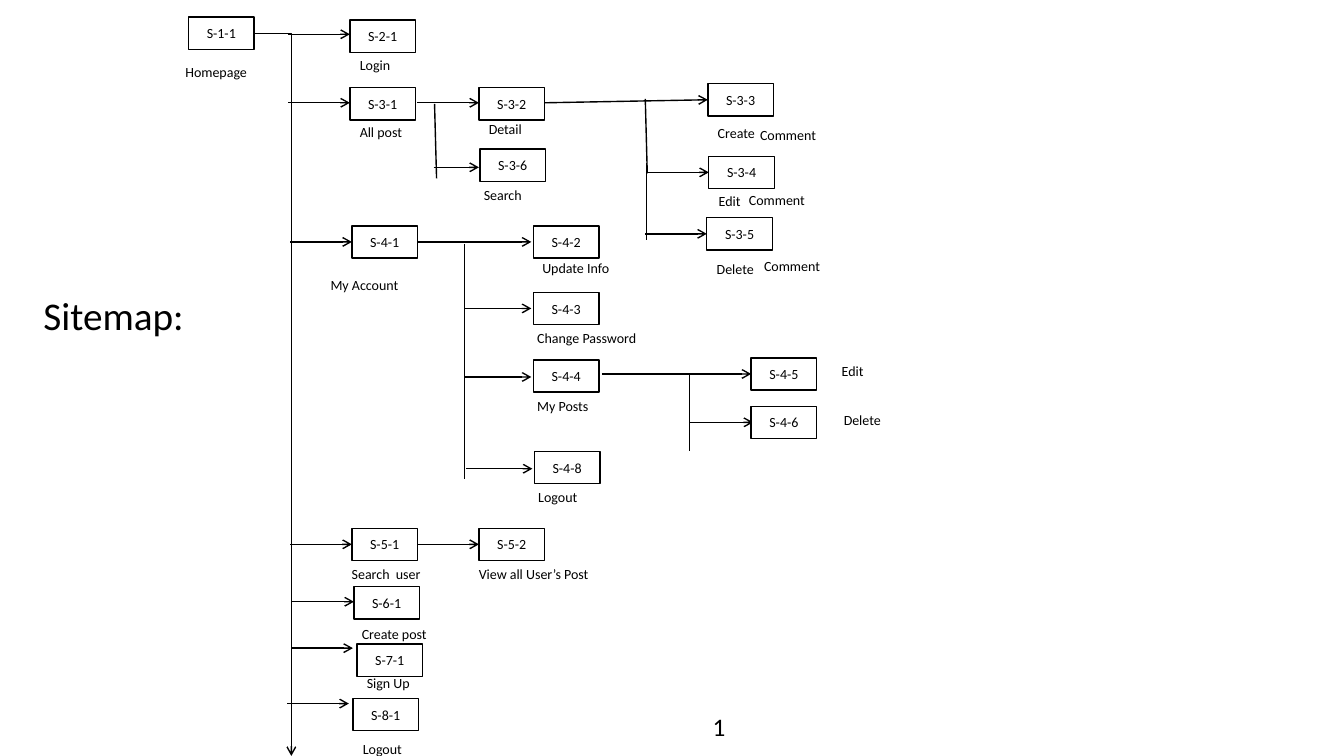
from dataclasses import dataclass
from lxml.etree import SubElement
from pptx import Presentation
from pptx.dml.color import RGBColor
from pptx.enum.shapes import MSO_CONNECTOR, MSO_SHAPE
from pptx.enum.text import MSO_ANCHOR, MSO_AUTO_SIZE, PP_ALIGN
from pptx.oxml.ns import qn
from pptx.util import Inches, Pt


@dataclass(frozen=True)
class Theme:
    font: str = "Calibri"
    ink: RGBColor = RGBColor(0, 0, 0)
    paper: RGBColor = RGBColor(255, 255, 255)
    small: int = 10
    medium: int = 18
    large: int = 28
    stroke: int = 1


class Sitemap:
    cell = Inches(0.1)
    width, height = 6.5, 3.2

    def __init__(self, slide, theme):
        self.slide = slide
        self.theme = theme

    def grid(self, *cells):
        return [round(cell * self.cell) for cell in cells]

    def style(self, frame, size, align):
        for para in frame.paragraphs:
            para.alignment = align
            for run in para.runs:
                run.font.name = self.theme.font
                run.font.size = Pt(size)
                run.font.color.rgb = self.theme.ink

    def fit(self, shape, text, size):
        frame = shape.text_frame
        frame.text = text
        frame.word_wrap = False
        frame.auto_size = MSO_AUTO_SIZE.SHAPE_TO_FIT_TEXT
        frame.vertical_anchor = MSO_ANCHOR.TOP
        self.style(frame, size, PP_ALIGN.LEFT)

    def title(self, text, *place):
        shape = self.slide.shapes.title
        shape.left, shape.top, shape.width, shape.height = self.grid(*place)
        self.fit(shape, text, self.theme.large)

    def label(self, text, left, top, width, height=2.7, size=None):
        place = self.grid(left, top, width, height)
        box = self.slide.shapes.add_textbox(*place)
        self.fit(box, text, size or self.theme.small)

    def page(self, code, left, top):
        place = self.grid(left, top, self.width, self.height)
        box = self.slide.shapes.add_shape(MSO_SHAPE.RECTANGLE, *place)
        box.shadow.inherit = False
        box.fill.solid()
        box.fill.fore_color.rgb = self.theme.paper
        box.line.color.rgb = self.theme.ink
        box.line.width = Pt(self.theme.stroke)
        box.text_frame.text = code
        box.text_frame.vertical_anchor = MSO_ANCHOR.MIDDLE
        self.style(box.text_frame, self.theme.small, PP_ALIGN.CENTER)

    def line(self, *ends, arrow=False, kind=MSO_CONNECTOR.STRAIGHT):
        link = self.slide.shapes.add_connector(kind, *self.grid(*ends))
        link.line.color.rgb = self.theme.ink
        link.line.width = Pt(self.theme.stroke)
        shape = link._element.spPr
        if arrow:
            SubElement(shape.find(qn("a:ln")), qn("a:tailEnd"), type="arrow")
        SubElement(shape, qn("a:effectLst"))
        return shape

    def trunk(self, *ends):
        shape = self.line(*ends, arrow=True, kind=MSO_CONNECTOR.ELBOW)
        shape.find(qn("a:prstGeom")).set("prst", "bentConnector2")


PAGES = [
    ("S-1-1", 18.7, 1.7), ("S-2-1", 34.7, 2), ("S-3-1", 34.7, 8.7),
    ("S-3-2", 47.5, 8.7), ("S-3-3", 70.2, 8.3), ("S-3-4", 70.3, 15.5),
    ("S-3-5", 70.1, 21.6), ("S-3-6", 47.6, 14.8), ("S-4-1", 34.9, 22.4),
    ("S-4-2", 52.9, 22.4), ("S-4-3", 52.9, 29), ("S-4-4", 52.9, 35.7),
    ("S-4-5", 74.5, 35.5), ("S-4-6", 74.5, 40.3), ("S-4-8", 53, 44.8),
    ("S-5-1", 34.9, 52.4), ("S-5-2", 47.5, 52.4), ("S-6-1", 35.1, 58.2),
    ("S-7-1", 35.4, 63.9), ("S-8-1", 35, 69.3),
]

LABELS = [
    ("Homepage", 17.4, 5.8, 8.2), ("Login", 34.7, 5.1, 5.1),
    ("All post", 34.7, 11.8, 6.3), ("Detail", 47.5, 11.5, 5.4),
    ("Search", 47, 18, 5.9), ("Create", 70.2, 11.9, 5.8),
    ("Comment", 74.4, 12.1, 7.7), ("Edit", 70.3, 18.6, 4.5),
    ("Comment", 73.3, 18.5, 7.7), ("Delete", 70.1, 25.4, 5.8),
    ("Comment", 74.8, 25.1, 7.7), ("My Account", 31.8, 26.9, 8.9),
    ("Update Info", 52.8, 25.3, 8.8), ("Change Password", 52.3, 32.2, 12),
    ("My Posts", 52.3, 38.9, 7.2), ("Edit", 82.5, 35.5, 4.2),
    ("Delete", 82.7, 40.3, 5.8), ("Logout", 52.4, 48, 6),
    ("Search  user", 33.9, 55.6, 9), ("View all User’s Post", 46.5, 55.6, 13.1),
    ("Create post", 34.9, 61.6, 8.6), ("Sign Up", 35.4, 66.4, 6.3),
    ("Logout", 35, 73, 6),
]

ARROWS = [
    (28.6, 34.7, 3.4), (28.6, 34.7, 10.2), (28.8, 34.9, 24),
    (28.8, 34.9, 54), (29, 35.1, 59.7), (28.9, 35, 64.3),
    (28.5, 34.6, 69.8), (41.4, 47.5, 10.2), (43, 47.5, 16.6),
    (64.2, 70.3, 17.1), (64, 70.1, 23.2), (41.4, 52.7, 24),
    (46.1, 52.7, 30.6), (46.1, 52.7, 37.4), (46.2, 52.8, 46.5),
    (59.7, 74.5, 37.1), (68.4, 74.7, 41.9), (41.4, 47.5, 54),
]

STEMS = [
    (43.1, 10.3, 43.3, 17.7), (64, 9.8, 64.2, 17.2),
    (64.1, 16.2, 64.1, 23.8), (46.1, 24.2, 46.1, 47.5),
    (68.4, 37.1, 68.4, 44.7),
]


def main():
    deck = Presentation()
    deck.slide_width, deck.slide_height = Inches(13.33), Inches(7.5)
    theme = Theme()
    site = Sitemap(deck.slides.add_slide(deck.slide_layouts[5]), theme)
    site.title("Sitemap:", 3.3, 28.4, 17.9, 5.7)
    site.trunk(25.3, 3.3, 28.9, 75)
    site.line(54, 10.2, 70.2, 9.9, arrow=True)
    for start, end, row in ARROWS:
        site.line(start, row, end, row, arrow=True)
    for stem in STEMS:
        site.line(*stem)
    for page in PAGES:
        site.page(*page)
    for label in LABELS:
        site.label(*label)
    site.label("1", 69.7, 70.1, 3.3, 4, theme.medium)
    deck.save("out.pptx")


if __name__ == "__main__":
    main()
